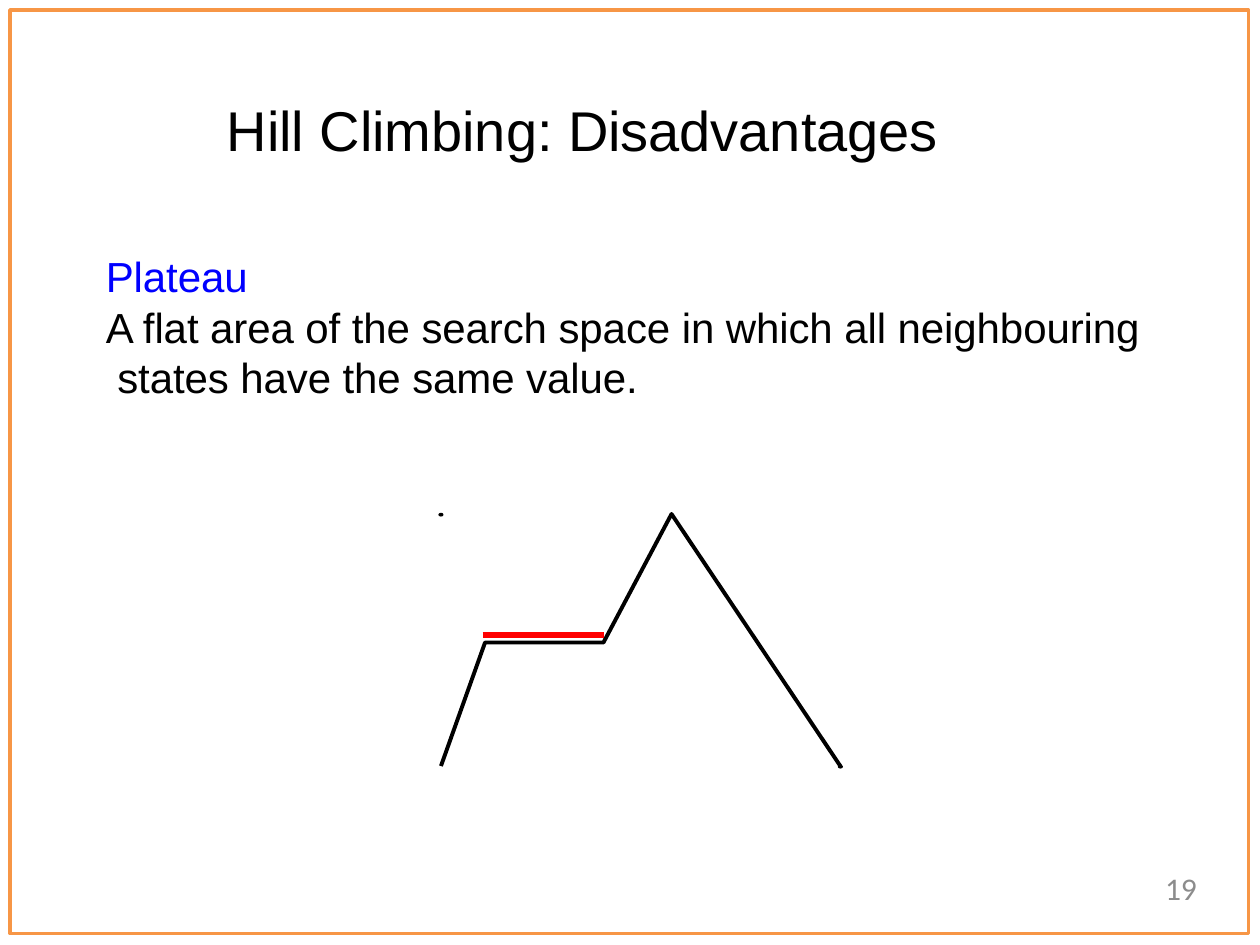
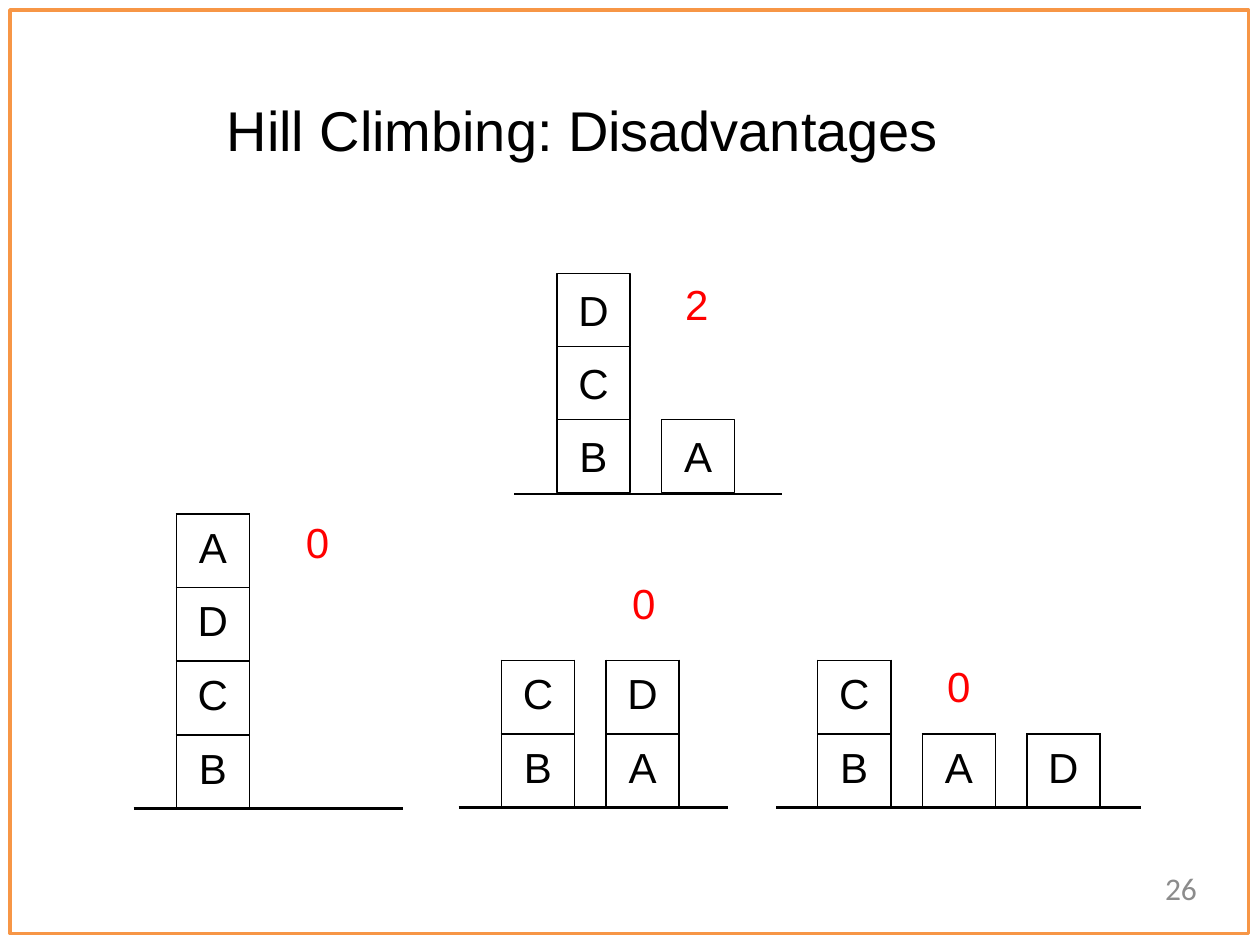
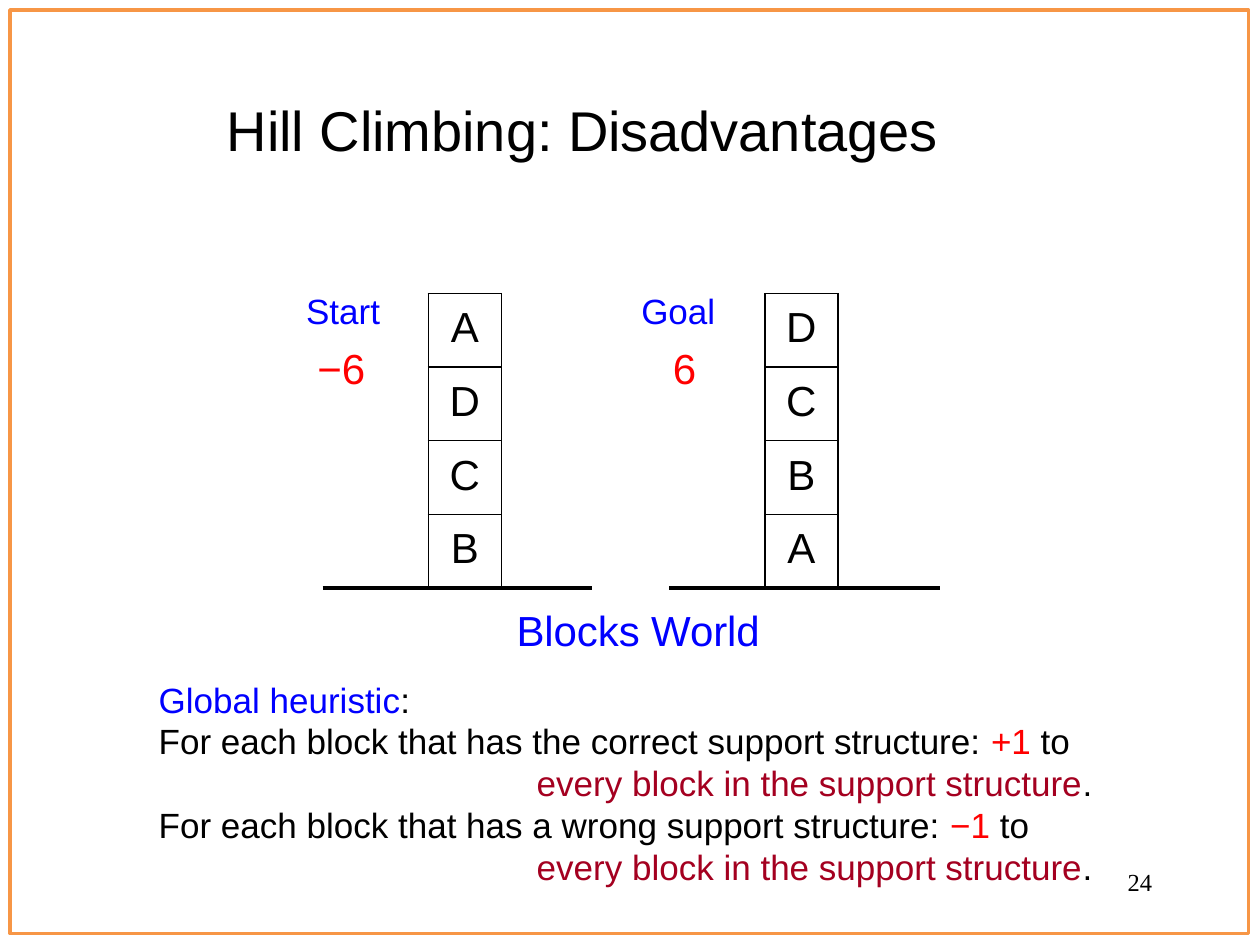
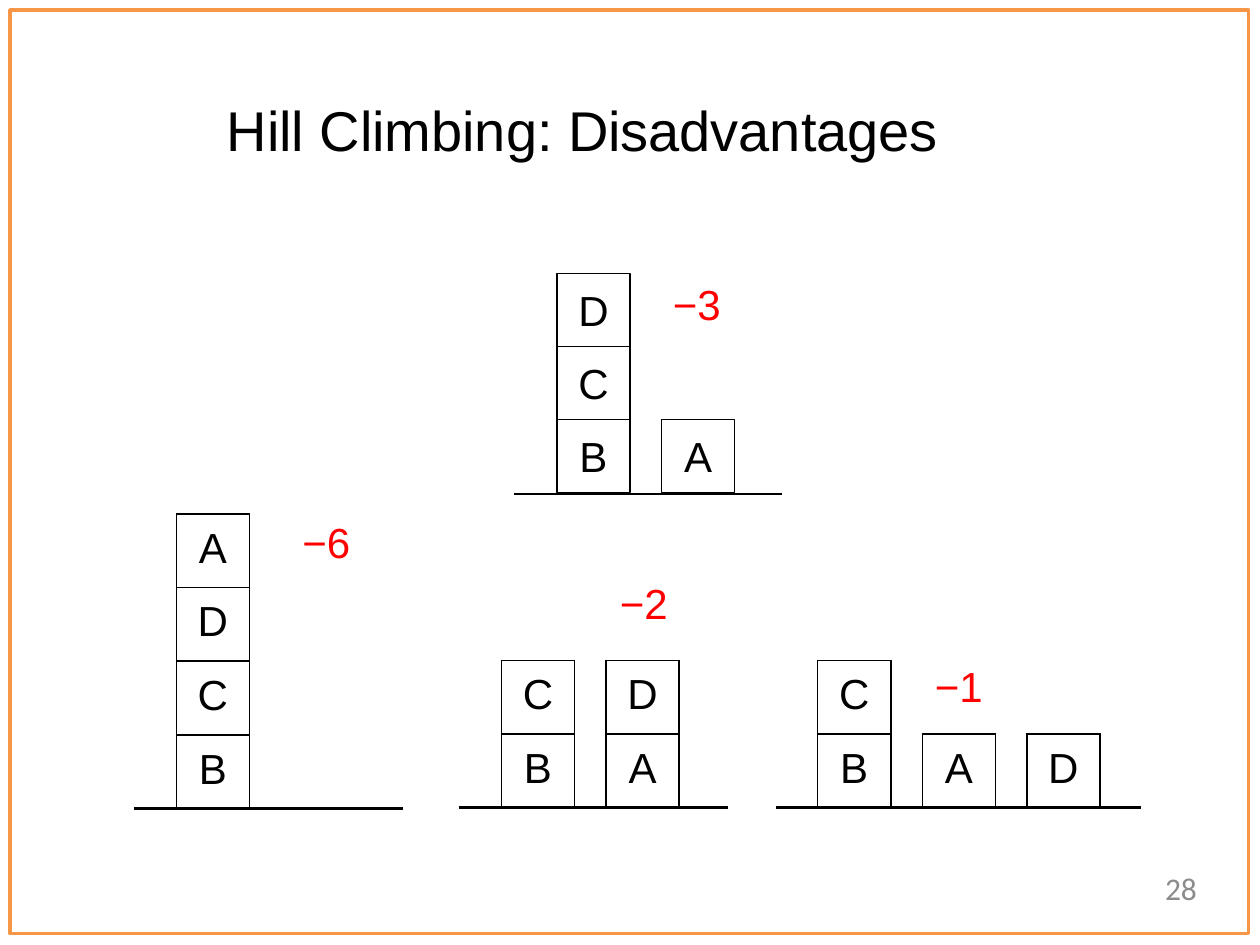
from pptx import Presentation
from pptx import util as u
from pptx.dml.color import RGBColor
from pptx.enum import shapes, text
from pptx.oxml.ns import qn
from lxml import etree

# Shared style: 100 px to the inch
PX = 9144
BLACK, BLUE, RED, WINE = "000000", "0000FF", "FF0000", "A40020"
ORANGE, GREY = "F79646", "8C8C8C"
BLOCK = 58
LEFT, CENTER, RIGHT = text.PP_ALIGN.LEFT, text.PP_ALIGN.CENTER, text.PP_ALIGN.RIGHT
NO_GRID_STYLE = "{2D5ABB26-0587-4C30-8999-92F81FD0307C}"


def px(n):
    return u.Emu(int(n * PX))


def rgb(color):
    return RGBColor.from_string(color)


# Text
def write(tf, content, size=24, color=BLACK, font="Arial", align=LEFT,
          before=1, indent=0, spc=0, leading=None):
    """Add one paragraph; content is a string or a list of (text, color)."""
    p = tf.paragraphs[0]
    if p.runs:
        p = tf.add_paragraph()
    p.alignment = align
    p.space_before = u.Pt(before)
    if leading:
        p.line_spacing = u.Pt(leading)
    if indent:
        p._p.get_or_add_pPr().set("marL", str(px(indent)))
    runs = [(content, color)] if isinstance(content, str) else content
    for i, (words, run_color) in enumerate(runs):
        for j, line in enumerate(words.split("\n")):
            if j:
                p.add_line_break()
            r = p.add_run()
            r.text = line
            r.font.size, r.font.name = u.Pt(size), font
            r.font.color.rgb = rgb(run_color)
            if spc:
                r._r.get_or_add_rPr().set("spc", str(spc))


def set_insets(target, top, right=0):
    target.margin_left = target.margin_bottom = 0
    target.margin_top, target.margin_right = px(top), px(right)


def add_box(s, x, y, w, h, top=1):
    tf = s.shapes.add_textbox(px(x), px(y), px(w), px(h)).text_frame
    tf.word_wrap = True
    set_insets(tf, top)
    return tf


def add_score(s, center, y, score):
    write(add_box(s, center - 20, y, 40, 43), score, color=RED, align=CENTER)


# Shapes and lines
def style(sp, fill=None, line=None, width=1):
    sp.shadow.inherit = False
    if fill:
        sp.fill.solid()
        sp.fill.fore_color.rgb = rgb(fill)
    else:
        sp.fill.background()
    if line:
        sp.line.color.rgb = rgb(line)
        sp.line.width = u.Pt(width)
    else:
        sp.line.fill.background()
    return sp


def add_preset(s, kind, x, y, w, h, **look):
    return style(s.shapes.add_shape(kind, px(x), px(y), px(w), px(h)), **look)


def add_line(s, x1, y1, x2, y2, color=BLACK, width=1.5):
    c = s.shapes.add_connector(shapes.MSO_CONNECTOR.STRAIGHT, px(x1), px(y1), px(x2), px(y2))
    c.line.color.rgb = rgb(color)
    c.line.width = u.Pt(width)
    etree.SubElement(c._element.spPr, qn("a:effectLst"))


def add_block(s, x, y, letter):
    sp = add_preset(s, shapes.MSO_SHAPE.RECTANGLE, x, y, BLOCK, BLOCK, line=BLACK)
    tf = sp.text_frame
    tf.vertical_anchor = text.MSO_ANCHOR.TOP
    set_insets(tf, 9)
    write(tf, letter, align=CENTER, before=6.6)


# Block stacks as tables
def set_border(cell, side, width):
    ln = etree.SubElement(cell._tc.get_or_add_tcPr(), qn("a:ln" + side), w=str(u.Pt(width)))
    fill = etree.SubElement(ln, qn("a:solidFill"))
    etree.SubElement(fill, qn("a:srgbClr"), val=BLACK)


def add_stacks(s, x, y, cols, rows, merges, base=2.25):
    """Rows are strings with one letter per block and a dot per gap."""
    n_rows, n_cols = len(rows), len(cols)
    table = s.shapes.add_table(n_rows, n_cols, px(x), px(y), px(sum(cols)),
                               px(n_rows * BLOCK)).table
    table.first_row = table.horz_banding = False
    table._tbl.tblPr.find(qn("a:tableStyleId")).text = NO_GRID_STYLE
    for col, w in zip(table.columns, cols):
        col.width = px(w)
    for row in table.rows:
        row.height = px(BLOCK + 0.4)
    for r1, c1, r2, c2 in merges:
        table.cell(r1, c1).merge(table.cell(r2, c2))

    def is_block(r, c):
        return 0 <= r < n_rows and 0 <= c < n_cols and rows[r][c] != "."

    for r in range(n_rows):
        for c in range(n_cols):
            cell = table.cell(r, c)
            set_insets(cell, 9)
            on_ground = r == n_rows - 1 or (cell.is_merge_origin
                                            and cell.span_height == n_rows)
            for side, dr, dc in (("L", 0, -1), ("R", 0, 1), ("T", -1, 0), ("B", 1, 0)):
                if side == "B" and on_ground:
                    set_border(cell, side, base)
                elif is_block(r, c) or is_block(r + dr, c + dc):
                    set_border(cell, side, 1)
            cell.fill.background()
            if is_block(r, c):
                write(cell.text_frame, rows[r][c], align=CENTER, before=6.6)
    return table


def add_tower(s, x, y, cols, letters):
    rows = [f".{letter}." for letter in letters]
    last = len(rows) - 1
    return add_stacks(s, x, y, cols, rows, [(0, c, last, c) for c in (0, 2)])


# Slide parts
def add_slide(prs):
    s = prs.slides.add_slide(prs.slide_layouts[6])
    write(add_box(s, 180, 75, 639, 63), "Hill Climbing: Disadvantages", size=32, spc=-5)
    add_preset(s, shapes.MSO_SHAPE.RECTANGLE, 8, 8, 983, 733, line=ORANGE, width=2)
    return s


def add_number(s, number):
    write(add_box(s, 720, 697, 230, 38, top=0), number, size=18, color=GREY,
          font="Calibri", align=RIGHT, before=0, leading=16.3)


def plateau_slide(prs):
    s = add_slide(prs)
    tf = add_box(s, 83, 198, 835, 123)
    write(tf, "Plateau", color=BLUE, indent=1, spc=-5)
    write(tf, "A flat area of the search space in which all neighbouring\n"
              " states have the same value.", before=0, indent=1, spc=-5)
    # Hill with a flat step
    hill = [(350, 608), (385, 510), (479, 510), (533, 408), (667, 608)]
    fb = s.shapes.build_freeform(*hill[0], scale=PX)
    fb.add_line_segments(hill[1:], close=False)
    style(fb.convert_to_shape(), line=BLACK, width=2.25)
    for x, y in ((350, 408), (667, 608)):
        add_preset(s, shapes.MSO_SHAPE.OVAL, x - 2, y - 1, 4, 3, fill=BLACK)
    add_line(s, 383, 504, 479, 504, color=RED, width=3)
    add_number(s, "19")


def moves_slide(prs, number, scores, tower_inset):
    """One state above, its three successor states below, each with a score."""
    s = add_slide(prs)
    parent, tower, pairs, spread = scores
    # Parent state
    for i, letter in enumerate("DCB"):
        add_block(s, 442, 217 + i * BLOCK, letter)
    add_block(s, 525, 333, "A")
    add_line(s, 408, 392, 621, 392)
    add_score(s, 553, 220, parent)
    # Successor states
    cell = add_tower(s, 106, 408, [34, 58, 122], "ADCB").cell(0, 2)
    set_insets(cell, 5, right=tower_inset)
    write(cell.text_frame, tower, color=RED, align=CENTER, before=3.7)
    add_stacks(s, 364, 524, [34, 58, 25, 58, 39], [".C.D.", ".B.A."],
               [(0, c, 1, c) for c in (0, 2, 4)])
    add_stacks(s, 616, 524, [33, 58, 25, 58, 25, 58, 33], [".C.....", ".B.A.D."],
               [(0, 0, 1, 0), (0, 2, 0, 6)], base=1.5)
    add_score(s, 511, 457, pairs)
    add_score(s, 761, 523, spread)
    add_number(s, number)


def heuristic_slide(prs):
    s = add_slide(prs)
    # Start and goal states
    for x, cols, letters, label_x, name, score, indent in (
            (256, [84, 58, 72], "ADCB", 242, "Start", "−6", 10),
            (531, [76, 58, 81], "DCBA", 508, "Goal", "6", 26)):
        add_tower(s, x, 233, cols, letters)
        tf = add_box(s, label_x, 222, 66, 91, top=8)
        write(tf, name, size=20, color=BLUE, before=6, indent=1)
        write(tf, score, color=RED, before=6, indent=indent)
    # Heuristic
    tf = add_box(s, 125, 457, 500, 116, top=23)
    write(tf, "Blocks World", color=BLUE, before=16.9, indent=285, spc=-5)
    write(tf, [("Global heuristic", BLUE), (":", BLACK)], size=20, before=13.2, indent=1)
    tf = add_box(s, 125, 570, 750, 136)
    for kind, points, before in (("the correct", "+1 ", 1), ("a wrong", "−1 ", 0)):
        write(tf, [(f"For each block that has {kind} support structure: ", BLACK),
                   (points, RED), ("to", BLACK)], size=20, before=before, indent=1)
        write(tf, [("every block in the support structure", WINE), (".", BLACK)],
              size=20, before=0, indent=301)
    write(add_box(s, 894, 687, 30, 26), "24", size=14, font="Times New Roman", indent=1)


def main():
    prs = Presentation()
    prs.slide_width, prs.slide_height = px(1000), px(750)
    plateau_slide(prs)
    moves_slide(prs, "26", ["2", "0", "0", "0"], tower_inset=14)
    heuristic_slide(prs)
    moves_slide(prs, "28", ["−3", "−6", "−2", "−1"], tower_inset=0)
    prs.save("out.pptx")


if __name__ == "__main__":
    main()
